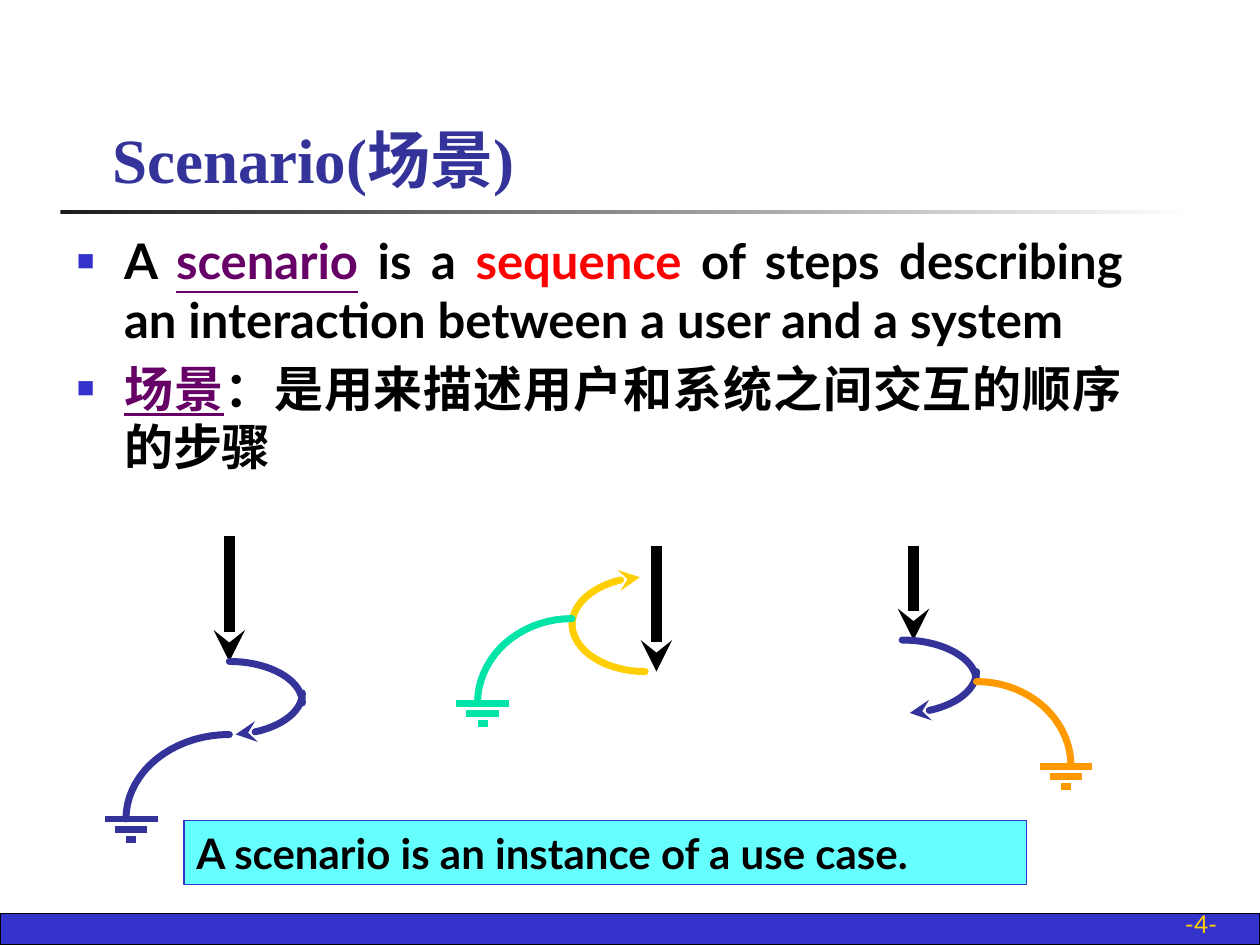
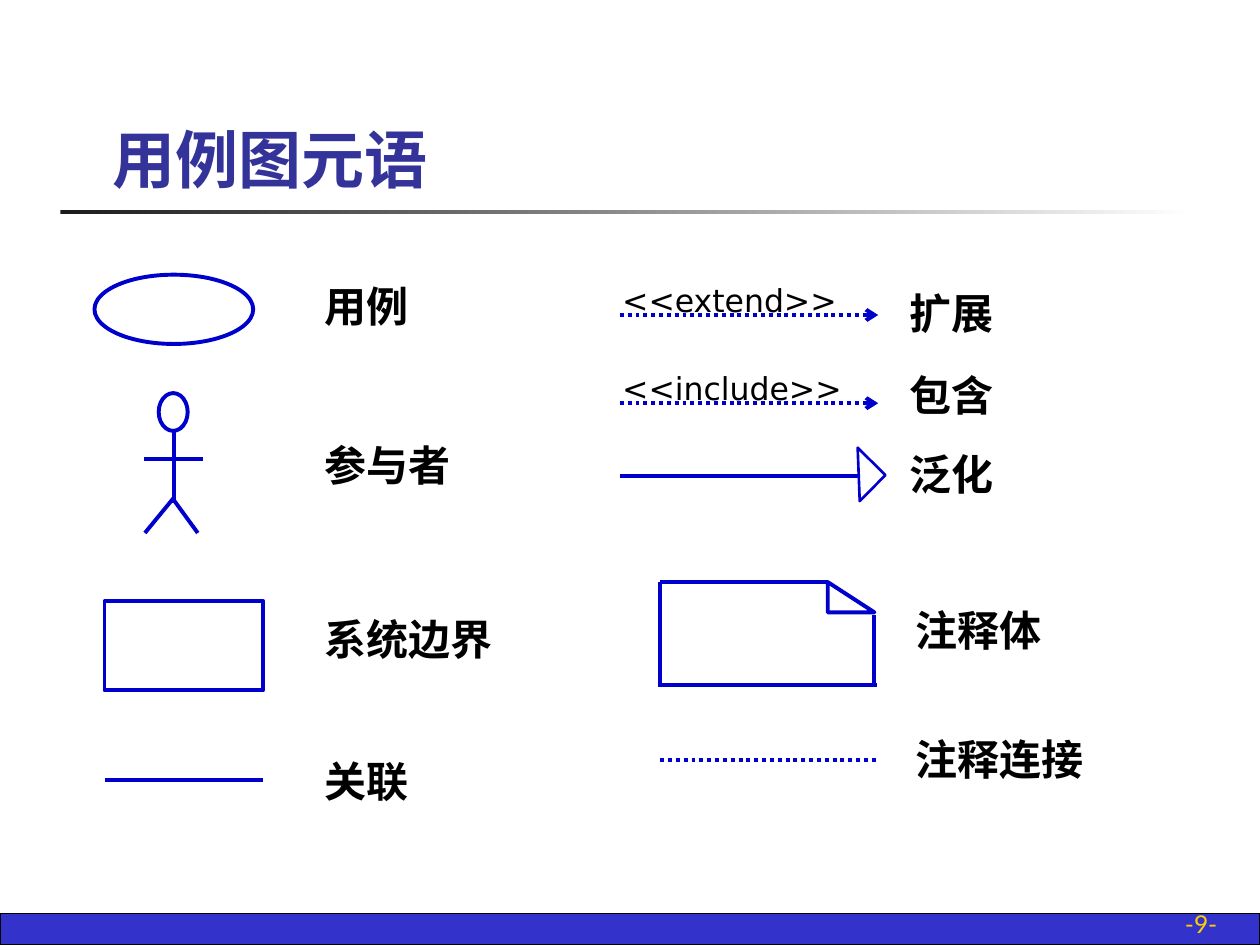
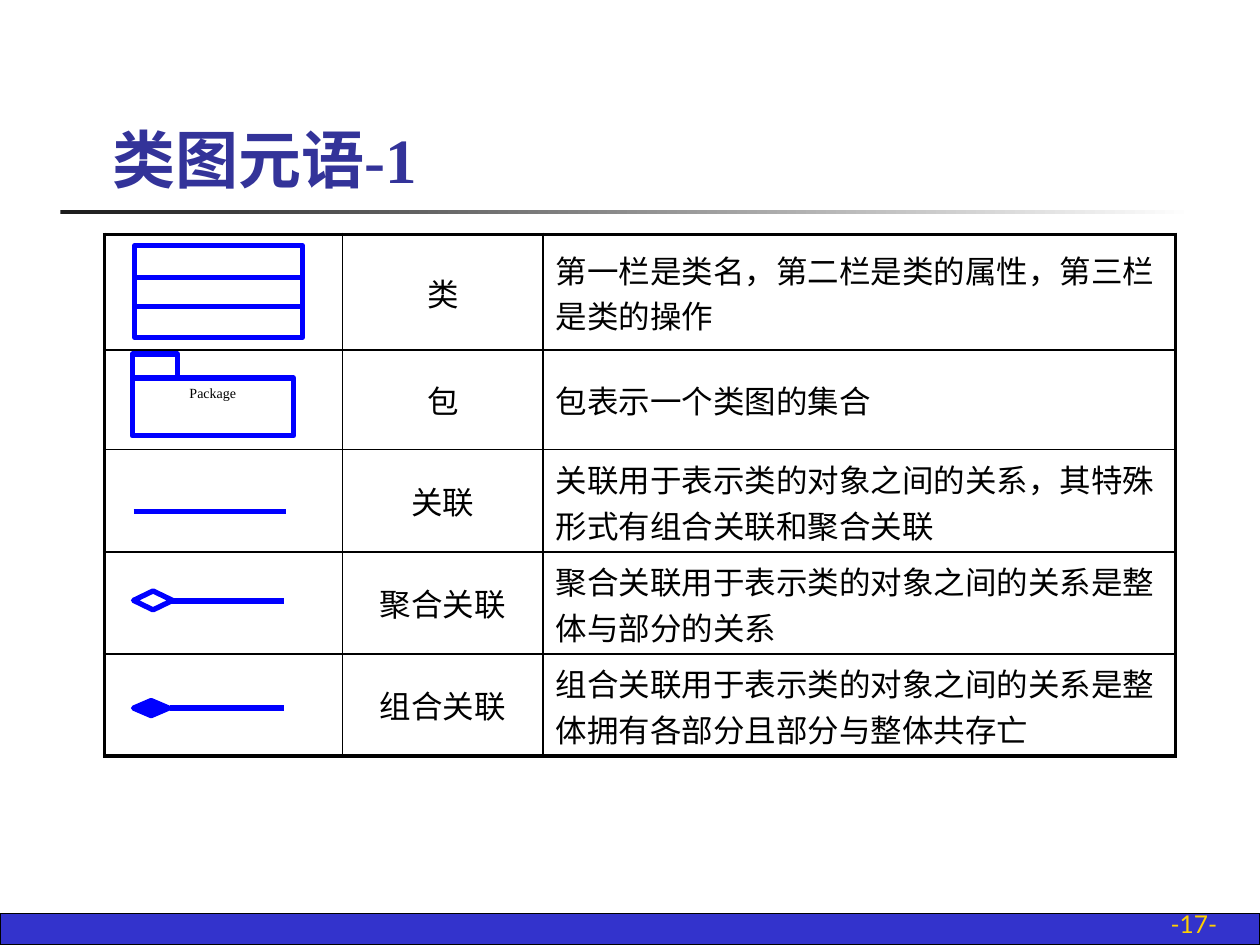
import math

import lxml.etree
import pptx
import pptx.dml.color
import pptx.enum.dml
import pptx.enum.shapes
import pptx.enum.text
import pptx.oxml.ns
import pptx.util

Inches = pptx.util.Inches
Pt = pptx.util.Pt
qn = pptx.oxml.ns.qn
Kind = pptx.enum.shapes.MSO_SHAPE
Align = pptx.enum.text.PP_ALIGN
Anchor = pptx.enum.text.MSO_ANCHOR


class Theme:
    navy, band, edge, gold = "333399", "3333CC", "000000", "FFCF01"
    ink, plum, red, white = "000000", "660066", "FF0000", "FFFFFF"
    green, amber, aqua, dark = "00E4A8", "FF9900", "66FFFF", "1C1C1C"
    legend, symbol = "0000CC", "0000FF"
    title = dict(name="Times New Roman", size=Pt(36), bold=True)
    body = dict(name="Lato", size=Pt(28), bold=True)
    note = dict(name="Lato", size=Pt(24), bold=True)
    page = dict(name="Lato", size=Pt(14))
    cell = dict(name="Lato", size=Pt(18))
    label = dict(name="DejaVu Sans", size=Pt(24), bold=True)
    tag = dict(name="DejaVu Sans", size=Pt(18))
    tiny = dict(name="Times New Roman", size=Pt(8))


BODY = [
    [("A ", Theme.ink), ("scenario", Theme.plum), (" is a ", Theme.ink),
     ("sequence", Theme.red),
     (" of steps describing an interaction between a user and a system", Theme.ink)],
    [("场景", Theme.plum), ("：是用来描述用户和系统之间交互的顺序的步骤", Theme.ink)],
]
NOTE = "A scenario is an instance of a use case."

DROPS = [(1.82, 4.25, 5.25), (5.21, 4.33, 5.33), (7.25, 4.33, 5.08)]
ARCS = [
    ((1.82, 5.25), (2.4, 5.58), Theme.navy, False),
    ((1.82, 5.83), (2.4, 5.5), Theme.navy, True),
    ((1.82, 5.83), (1, 6.5), Theme.navy, False),
    ((5.12, 5.33), (4.54, 4.95), Theme.gold, False),
    ((5.13, 4.58), (4.54, 4.96), Theme.gold, True),
    ((4.54, 4.91), (3.79, 5.58), Theme.green, False),
    ((7.16, 5.08), (7.75, 5.41), Theme.navy, False),
    ((7.17, 5.66), (7.75, 5.33), Theme.navy, True),
    ((7.75, 5.41), (8.5, 6.08), Theme.amber, False),
]
GROUNDS = [(1.04, 6.5, Theme.navy), (3.83, 5.58, Theme.green), (8.46, 6.08, Theme.amber)]
BARS = [0.21, 0.13, 0.04]

LABELS = [
    (2.48, [("用例", 2.18), ("参与者", 3.44), ("系统边界", 4.82), ("关联", 5.95)]),
    (7.12, [("扩展", 2.23), ("包含", 2.88), ("泛化", 3.51)]),
    (7.17, [("注释体", 4.75), ("注释连接", 5.77)]),
]
TAGS = [("<<extend>>", 2.5), ("<<include>>", 3.2)]
FORMS = [
    (Kind.OVAL, (0.75, 2.18, 1.26, 0.55), 2.25, 0),
    (Kind.OVAL, (1.26, 3.12, 0.23, 0.3), 2.25, 0),
    (Kind.RECTANGLE, (0.83, 4.77, 1.26, 0.71), 2.25, 0),
    (Kind.RIGHT_TRIANGLE, (6.66, 3.62, 0.31, 0.29), 1.5, 224.6),
    (Kind.RIGHT_TRIANGLE, (6.57, 4.62, 0.37, 0.24), 2.25, 0),
]
STROKES = [
    (1.14, 3.64, 1.61, 3.64), (1.38, 3.42, 1.38, 3.99),
    (1.38, 3.95, 1.15, 4.23), (1.38, 3.97, 1.57, 4.23),
    (0.83, 6.19, 2.09, 6.19), (4.92, 3.78, 6.81, 3.78),
    (5.24, 4.62, 6.57, 4.62), (5.24, 5.44, 6.96, 5.44),
    (6.94, 4.88, 6.94, 5.44), (5.24, 4.62, 5.24, 5.45),
]

ROWS = [
    ("类", "第一栏是类名，第二栏是类的属性，第三栏是类的操作", 0.92),
    ("包", "包表示一个类图的集合", 0.79),
    ("关联", "关联用于表示类的对象之间的关系，其特殊形式有组合关联和聚合关联", 0.81),
    ("聚合关联", "聚合关联用于表示类的对象之间的关系是整体与部分的关系", 0.81),
    ("组合关联", "组合关联用于表示类的对象之间的关系是整体拥有各部分且部分与整体共存亡", 0.81),
]
COLS = [1.89, 1.59, 5.02]
LINKS = [(1.07, 2.2, 2.4), (1.07, 2.43, 2.4), (1.06, 4.06, 2.27),
         (1.35, 4.77, 2.25), (1.35, 5.62, 2.25)]
GEMS = [((1.06, 4.69, 0.31, 0.15), Theme.white), ((1.06, 5.56, 0.28, 0.12), Theme.symbol)]


def rgb(hue):
    return pptx.dml.color.RGBColor.from_string(hue)


def put(item, vals):
    for key, val in vals.items():
        setattr(item, key, val)


def span(box):
    return [Inches(n) for n in box]


def add(root, tag, **vals):
    return lxml.etree.SubElement(root, qn(tag), vals)


def write(para, text, style, hue, align=Align.LEFT):
    para.alignment = align
    run = para.add_run()
    run.text = text
    put(run.font, style)
    run.font.color.rgb = rgb(hue)
    return run


def stroke(shape, hue, width, tip=None, dash=None, cap=None):
    shape.line.color.rgb = rgb(hue)
    shape.line.width = Pt(width)
    if dash:
        shape.line.dash_style = dash
    line = shape.element.spPr.find(qn("a:ln"))
    if cap:
        line.set("cap", cap)
    if tip:
        add(line, "a:tailEnd", type=tip)


def draw(slide, kind, box, fill=None, hue=None, width=0.75):
    shape = slide.shapes.add_shape(kind, *span(box))
    shape.shadow.inherit = False
    if fill:
        shape.fill.solid()
        shape.fill.fore_color.rgb = rgb(fill)
    else:
        shape.fill.background()
    if hue:
        stroke(shape, hue, width)
    else:
        shape.line.fill.background()
    return shape


def rule(slide, ends, hue, width, tip=None, dash=None):
    line = slide.shapes.add_connector(pptx.enum.shapes.MSO_CONNECTOR.STRAIGHT, *span(ends))
    stroke(line, hue, width, tip, dash)
    add(line.element.spPr, "a:effectLst")


def label(slide, text, box, style, hue=Theme.ink, align=Align.LEFT, anchor=Anchor.TOP):
    frame = slide.shapes.add_textbox(*span(box)).text_frame
    put(frame, dict(word_wrap=True, vertical_anchor=anchor))
    write(frame.paragraphs[0], text, style, hue, align)


def place(holder, box, anchor):
    put(holder, dict(zip(("left", "top", "width", "height"), span(box))))
    frame = holder.text_frame
    put(frame, dict(vertical_anchor=anchor, auto_size=pptx.enum.text.MSO_AUTO_SIZE.NONE))
    return frame


def brand(deck, slide):
    band = draw(slide, Kind.RECTANGLE, (0, 7.25, 10, 0.25), Theme.band, Theme.edge)
    fade = draw(slide, Kind.RECTANGLE, (0.48, 1.67, 9, 0.03))
    fade.fill.gradient()
    fade.fill.gradient_angle = 0
    for stop, hue, at in zip(fade.fill.gradient_stops, (Theme.dark, Theme.white), (0, 1)):
        stop.color.rgb = rgb(hue)
        stop.position = at
    for shape in (band, fade):
        deck.slide_master.element.cSld.spTree.append(shape.element)


def start(deck, layout, title, page):
    slide = deck.slides.add_slide(deck.slide_layouts[layout])
    frame = place(slide.shapes.title, (0.79, 0.36, 8.52, 1.25), Anchor.BOTTOM)
    write(frame.paragraphs[0], title, Theme.title, Theme.navy)
    label(slide, f"-{page}-", (7.68, 7.17, 2.08, 0.33), Theme.page, Theme.gold,
          Align.RIGHT, Anchor.BOTTOM)
    return slide


def bullet(para):
    props = para._p.get_or_add_pPr()
    put(props, dict(marL=Inches(0.38), indent=Inches(-0.38)))
    add(add(props, "a:buClr"), "a:srgbClr", val=Theme.band)
    add(props, "a:buSzPct", val="60000")
    add(props, "a:buChar", char="■")


def arc(slide, flat, steep, hue, tip):
    turns = range(90, 4, -5) if tip else range(0, 91, 5)
    dots = []
    for turn in turns:
        rad = math.radians(turn)
        dots.append(span((flat[0] + (steep[0] - flat[0]) * math.sin(rad),
                          steep[1] + (flat[1] - steep[1]) * math.cos(rad))))
    pen = slide.shapes.build_freeform(*dots[0])
    pen.add_line_segments(dots[1:], close=False)
    shape = pen.convert_to_shape()
    shape.shadow.inherit = False
    shape.fill.background()
    stroke(shape, hue, 4, "stealth" if tip else None, cap="rnd")


def story(slide):
    frame = place(slide.placeholders[1], (0.51, 1.78, 8.5, 4.88), Anchor.TOP)
    for i, runs in enumerate(BODY):
        para = frame.add_paragraph() if i else frame.paragraphs[0]
        bullet(para)
        para.space_before = Pt(5.6 if i else 0)
        for text, hue in runs:
            run = write(para, text, Theme.body, hue, Align.JUSTIFY)
            run.font.underline = hue == Theme.plum
    for x, top, end in DROPS:
        rule(slide, (x, top, x, end), Theme.ink, 6, "stealth")
    for item in ARCS:
        arc(slide, *item)
    for x, y, hue in GROUNDS:
        for i, half in enumerate(BARS):
            level = y + 0.08 * i
            rule(slide, (x + half, level, x - half, level), hue, 4)
    box = draw(slide, Kind.RECTANGLE, (1.46, 6.51, 6.69, 0.51), Theme.aqua, Theme.band)
    box.text_frame.word_wrap = True
    write(box.text_frame.paragraphs[0], NOTE, Theme.note, Theme.ink)


def legend(slide):
    dots = pptx.enum.dml.MSO_LINE.ROUND_DOT
    for kind, box, width, turn in FORMS:
        draw(slide, kind, box, None, Theme.legend, width).rotation = turn
    for ends in STROKES:
        rule(slide, ends, Theme.legend, 2.25)
    for text, y in TAGS:
        rule(slide, (4.92, y, 6.97, y), Theme.legend, 2.25, "arrow", dots)
        label(slide, text, (4.84, y - 0.32, 1.97, 0.4), Theme.tag)
    rule(slide, (5.24, 6.03, 6.97, 6.03), Theme.legend, 2.25, dash=dots)
    for x, items in LABELS:
        for text, y in items:
            label(slide, text, (x, y, 2.28, 0.5), Theme.label)


def border(cell, row, col):
    props = cell._tc.get_or_add_tcPr()
    outer = {"L": col == 0, "R": col == len(COLS) - 1,
             "T": row == 0, "B": row == len(ROWS) - 1}
    for side, thick in outer.items():
        line = add(props, f"a:ln{side}", w=str(Pt(2.25 if thick else 1)))
        add(add(line, "a:solidFill"), "a:srgbClr", val=Theme.edge)


def grid(slide):
    high = sum(row[2] for row in ROWS)
    table = slide.shapes.add_table(len(ROWS), len(COLS),
                                   *span((0.83, 1.86, sum(COLS), high))).table
    put(table, dict(first_row=False, horz_banding=False))
    for col, width in zip(table.columns, COLS):
        col.width = Inches(width)
    for r, (name, text, height) in enumerate(ROWS):
        table.rows[r].height = Inches(height)
        for c, words in enumerate(("", name, text)):
            cell = table.cell(r, c)
            border(cell, r, c)
            cell.fill.background()
            cell.vertical_anchor = Anchor.MIDDLE
            if words:
                write(cell.text_frame.paragraphs[0], words, Theme.cell, Theme.ink,
                      Align.CENTER if c == 1 else Align.LEFT)


def signs(slide):
    look = (Theme.white, Theme.symbol, 3)
    draw(slide, Kind.RECTANGLE, (1.07, 1.95, 1.33, 0.73), *look)
    pack = draw(slide, Kind.RECTANGLE, (1.05, 3, 1.28, 0.46), *look)
    pack.text_frame.vertical_anchor = Anchor.TOP
    write(pack.text_frame.paragraphs[0], "Package", Theme.tiny, Theme.ink, Align.CENTER)
    draw(slide, Kind.RECTANGLE, (1.05, 2.81, 0.36, 0.19), *look)
    for x, y, end in LINKS:
        rule(slide, (x, y, end, y), Theme.symbol, 3)
    for box, fill in GEMS:
        draw(slide, Kind.DIAMOND, box, fill, Theme.symbol, 3)


def main():
    deck = pptx.Presentation()
    put(deck, dict(slide_width=Inches(10), slide_height=Inches(7.5)))
    first = start(deck, 1, "Scenario(场景)", 4)
    brand(deck, first)
    story(first)
    legend(start(deck, 5, "用例图元语", 9))
    last = start(deck, 5, "类图元语-1", 17)
    grid(last)
    signs(last)
    deck.save("out.pptx")


if __name__ == "__main__":
    main()
